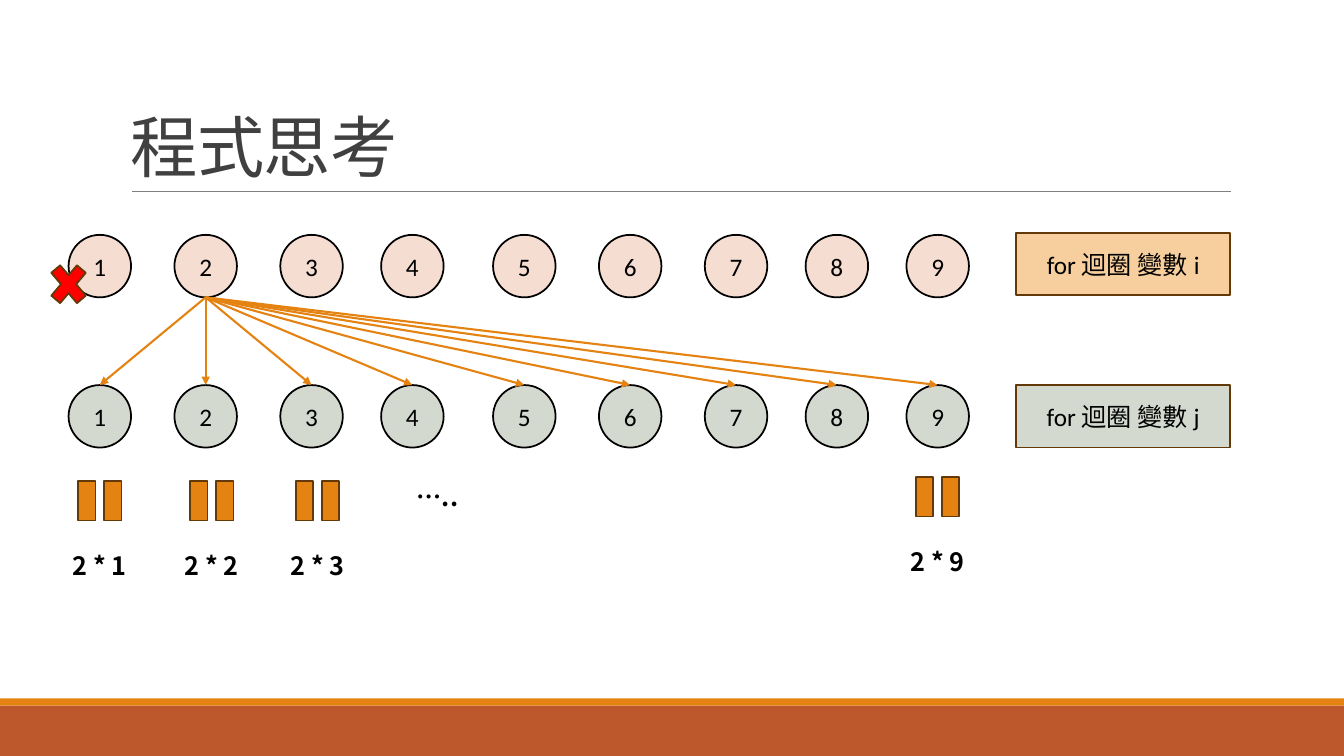
from lxml import etree
from pptx import Presentation
from pptx.dml.color import RGBColor
from pptx.enum.shapes import MSO_CONNECTOR, MSO_SHAPE
from pptx.enum.text import MSO_ANCHOR, PP_ALIGN
from pptx.oxml.ns import qn
from pptx.util import Inches, Pt

RECT, OVAL = MSO_SHAPE.RECTANGLE, MSO_SHAPE.OVAL
EQUAL, CROSS = MSO_SHAPE.MATH_EQUAL, MSO_SHAPE.MATH_MULTIPLY
STRAIGHT = MSO_CONNECTOR.STRAIGHT
LEFT, CENTER = PP_ALIGN.LEFT, PP_ALIGN.CENTER
TOP, MIDDLE, BOTTOM = MSO_ANCHOR.TOP, MSO_ANCHOR.MIDDLE, MSO_ANCHOR.BOTTOM

BLACK = RGBColor(0x00, 0x00, 0x00)
DARK = RGBColor(0x40, 0x40, 0x40)
GRAY = RGBColor(0x80, 0x80, 0x80)
ORANGE = RGBColor(0xE4, 0x83, 0x12)
RUST = RGBColor(0xBD, 0x58, 0x2C)
BROWN = RGBColor(0x64, 0x39, 0x08)
RED = RGBColor(0xFF, 0x00, 0x00)
PINK = RGBColor(0xF5, 0xDD, 0xD2)
SAGE = RGBColor(0xD4, 0xD9, 0xCF)
PEACH = RGBColor(0xF7, 0xCE, 0x9D)

LATIN, HAN = "Calibri", "Noto Sans CJK SC"
WIDE, HIGH = 13.33, 7.5
COLS = (0.99, 2.04, 3.09, 4.09, 5.2, 6.25, 7.3, 8.3, 9.3)  # column centres
ROW_I, ROW_J = 2.64, 4.13  # row centres
SIZE = 0.62
# factor, column centre, centre of the equal sign
SUMS = ((1, 0.99, 4.97), (2, 2.1, 4.97), (3, 3.15, 4.97), (9, 9.3, 4.93))


def write(shape, text, font=LATIN, size=18, color=BLACK, bold=False,
          align=CENTER, anchor=MIDDLE):
    frame = shape.text_frame
    frame.word_wrap = True
    frame.vertical_anchor = anchor
    para = frame.paragraphs[0]
    para.alignment = align
    run = para.add_run()
    run.text = text
    run.font.name, run.font.size = font, Pt(size)
    run.font.bold, run.font.color.rgb = bold, color
    return para, run


def add_mark(slide, kind, mid, row, wide, high, fill, edge=None):
    """Add a preset shape centred on (mid, row)."""
    shape = slide.shapes.add_shape(
        kind, Inches(mid - wide / 2), Inches(row - high / 2),
        Inches(wide), Inches(high))
    shape.shadow.inherit = False
    shape.fill.solid()
    shape.fill.fore_color.rgb = fill
    if edge is None:
        shape.line.fill.background()
    else:
        shape.line.color.rgb = edge
        shape.line.width = Pt(1.25)
    return shape


def add_text(slide, left, top, wide, high, text, **style):
    box = slide.shapes.add_textbox(
        Inches(left), Inches(top), Inches(wide), Inches(high))
    return write(box, text, **style)


def add_line(slide, start, end, color, width):
    line = slide.shapes.add_connector(
        STRAIGHT, *(Inches(n) for n in (*start, *end)))
    line.line.color.rgb = color
    line.line.width = Pt(width)
    etree.SubElement(line.element.spPr, qn("a:effectLst"))
    return line


def add_arrow(slide, start, target):
    """Point an arrow at the top of the target circle."""
    line = add_line(slide, start, start, ORANGE, 1.5)
    line.end_connect(target, 0)
    tip = etree.SubElement(line.line._get_or_add_ln(), qn("a:tailEnd"))
    tip.set("type", "triangle")


def add_row(slide, row, fill):
    """Add circles numbered 1 to 9."""
    dots = []
    for num, mid in enumerate(COLS, 1):
        dot = add_mark(slide, OVAL, mid, row, SIZE, SIZE, fill, BLACK)
        write(dot, str(num))
        dots.append(dot)
    return dots


def add_sum(slide, num, mid, row):
    """Add an upright equal sign with its product below."""
    sign = add_mark(slide, EQUAL, mid, row, 0.53, 0.73, ORANGE, BROWN)
    sign.rotation = 90
    add_text(slide, mid - 0.43, row + 0.44, 0.86, 0.4, f"2 * {num}",
             font=HAN, bold=True, anchor=TOP)


def add_frame(slide):
    """Add the footer bands, the title and its rule."""
    add_mark(slide, RECT, WIDE / 2, HIGH - 0.25, WIDE, 0.5, RUST)
    add_mark(slide, RECT, WIDE / 2, HIGH - 0.535, WIDE, 0.07, ORANGE)
    add_line(slide, (1.31, 1.9), (12.21, 1.9), GRAY, 0.5)
    para, run = add_text(slide, 1.2, 0.31, 11, 1.59, "程式思考", size=48,
                         color=DARK, align=LEFT, anchor=BOTTOM)
    para.line_spacing = 0.85
    run.font._element.set("spc", "-50")


def main():
    deck = Presentation()
    deck.slide_width, deck.slide_height = Inches(WIDE), Inches(HIGH)
    slide = deck.slides.add_slide(deck.slide_layouts[6])
    add_frame(slide)
    add_row(slide, ROW_I, PINK)
    dots = add_row(slide, ROW_J, SAGE)
    add_mark(slide, CROSS, 0.68, 2.82, 0.49, 0.58, RED, BROWN)
    for dot in dots:
        add_arrow(slide, (COLS[1], ROW_I + SIZE / 2), dot)
    for num, mid, row in SUMS:
        add_sum(slide, num, mid, row)
    add_text(slide, 3.32, 4.73, 2.04, 0.4, "…..", font=HAN, bold=True,
             anchor=TOP)
    for name, row, fill in (("i", 2.62, PEACH), ("j", ROW_J, SAGE)):
        box = add_mark(slide, RECT, 11.14, row, 2.12, SIZE, fill, BROWN)
        write(box, f"for 迴圈 變數 {name}")
    deck.save("out.pptx")


if __name__ == "__main__":
    main()
